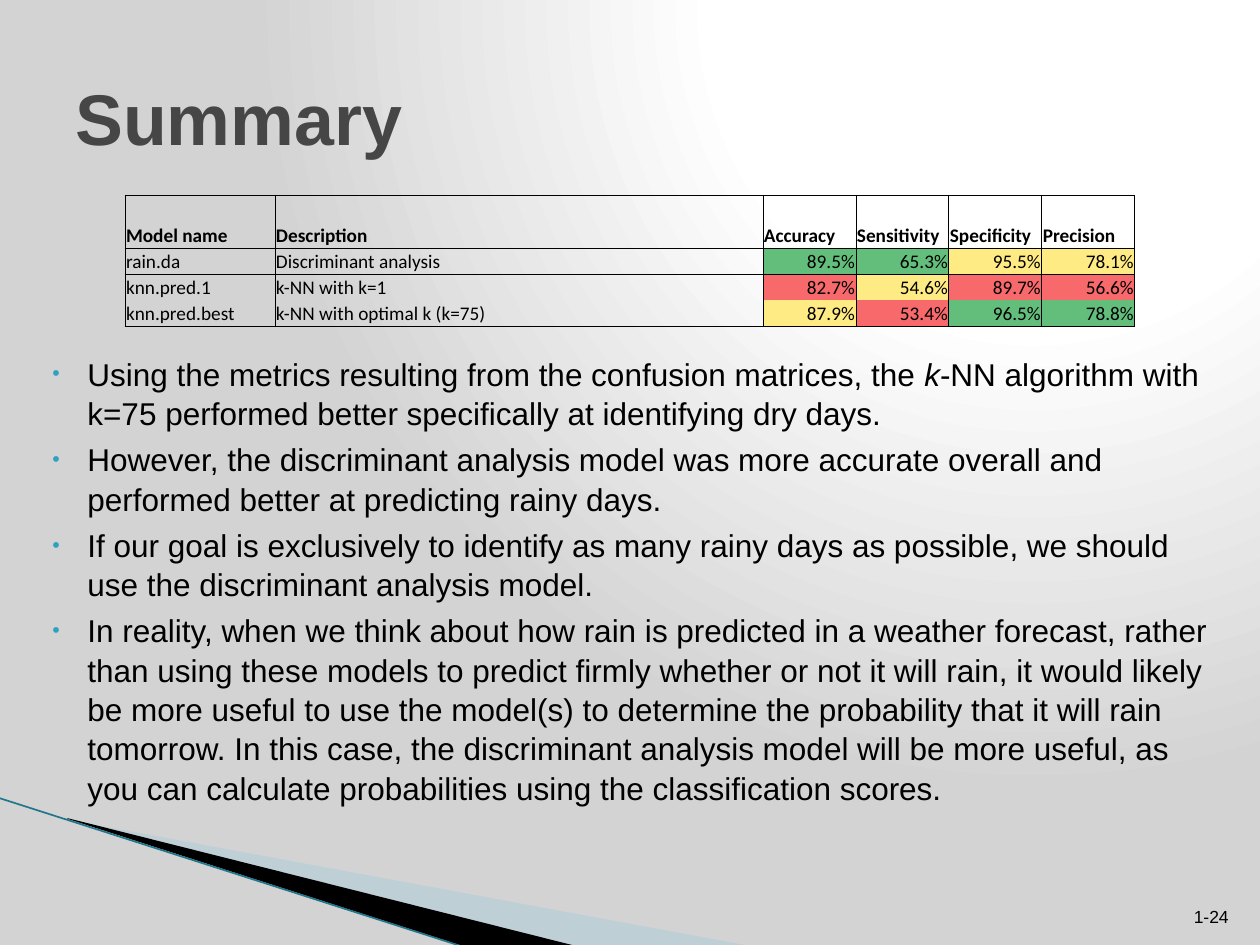
from lxml import etree
from pptx import Presentation
from pptx.dml.color import RGBColor
from pptx.enum.shapes import MSO_CONNECTOR
from pptx.enum.text import MSO_ANCHOR, PP_ALIGN
from pptx.oxml import parse_xml
from pptx.oxml.ns import nsdecls, qn
from pptx.util import Pt

PX = 914400 / 126
LEFT, RIGHT = PP_ALIGN.LEFT, PP_ALIGN.RIGHT
TOP, MIDDLE, BOTTOM = MSO_ANCHOR.TOP, MSO_ANCHOR.MIDDLE, MSO_ANCHOR.BOTTOM
STRAIGHT = MSO_CONNECTOR.STRAIGHT
BLACK, GREEN, YELLOW, RED = "000000", "63BE7B", "FFEB84", "F8696B"


def px(*lengths):
    return [round(length * PX) for length in lengths]


def style(paragraph, size, color=BLACK, font="Arial", bold=False, align=LEFT):
    paragraph.alignment = align
    for span in paragraph.runs:
        span.font.name = font
        span.font.size = Pt(size)
        span.font.bold = bold
        span.font.color.rgb = RGBColor.from_string(color)


deck = Presentation()
deck.slide_width, deck.slide_height = px(1260, 945)
page = deck.slides.add_slide(deck.slide_layouts[6])

# Background: white glow from the upper right, fading to grey
stops = "".join(
    f'<a:gs pos="{position}000"><a:srgbClr val="{color}"/></a:gs>'
    for position, color in [(0, "FFFFFF"), (40, "FFFFFF"), (100, "D3D3D3")])
page.background.fill.solid()
solid = page.background._cSld.find(".//" + qn("a:solidFill"))
solid.getparent().replace(solid, parse_xml(
    f'<a:gradFill {nsdecls("a")} rotWithShape="1"><a:gsLst>{stops}</a:gsLst>'
    '<a:path path="circle"><a:fillToRect l="65000" b="98000"/></a:path></a:gradFill>'))

# Corner wedges
wedges = [
    ("A0CBDC", 40, [(69, 820), (750, 946), (575, 946), (69, 819)]),
    (BLACK, 100, [(67, 818), (576, 946), (469, 948), (68, 819)]),
]
for color, opacity, points in wedges:
    builder = page.shapes.build_freeform(*points[0], scale=PX)
    builder.add_line_segments(points[1:], close=True)
    wedge = builder.convert_to_shape()
    wedge.shadow.inherit = False
    wedge.fill.solid()
    wedge.fill.fore_color.rgb = RGBColor.from_string(color)
    wedge.line.fill.background()
    if opacity < 100:
        tint = wedge._element.spPr.find(".//" + qn("a:srgbClr"))
        etree.SubElement(tint, qn("a:alpha")).set("val", f"{opacity}000")

# Edge line along the wedges
edge = page.shapes.add_connector(STRAIGHT, *px(-1, 798, 467, 948))
edge.line.color.rgb = RGBColor.from_string("21768C")
edge.line.width = Pt(0.95)
etree.SubElement(edge._element.spPr, qn("a:effectLst"))

# Text boxes: title, bullets and page number
bullets = [
    ["Using the metrics resulting from the confusion matrices, the ", "k",
     "-NN algorithm with k=75 performed better specifically at identifying dry days."],
    ["However, the discriminant analysis model was more accurate overall and "
     "performed better at predicting rainy days."],
    ["If our goal is exclusively to identify as many rainy days as possible, "
     "we should use the discriminant analysis model."],
    ["In reality, when we think about how rain is predicted in a weather forecast, "
     "rather than using these models to predict firmly whether or not it will rain, "
     "it would likely be more useful to use the model(s) to determine the probability "
     "that it will rain tomorrow. In this case, the discriminant analysis model will be "
     "more useful, as you can calculate probabilities using the classification scores."],
]
frames = []
for bounds, anchor in [((63, 38, 1134, 157), MIDDLE),
                       ((25, 347, 1206, 372), TOP),
                       ((1144, 883, 97, 50), BOTTOM)]:
    frame = page.shapes.add_textbox(*px(*bounds)).text_frame
    frame.word_wrap = True
    frame.vertical_anchor = anchor
    frames.append(frame)
title, body, number = frames

title.text = "Summary"
style(title.paragraphs[0], 41, "464646", bold=True)
number.text = "1-24"
style(number.paragraphs[0], 10, align=RIGHT)

for index, parts in enumerate(bullets):
    para = body.add_paragraph() if index else body.paragraphs[0]
    for part in parts:
        span = para.add_run()
        span.text = part
        span.font.italic = part == "k"
    style(para, 18)
    para.space_before = Pt(4)
    para.line_spacing = 1.04
    properties = para._p.get_or_add_pPr()
    indent, hanging = px(50, -35)
    properties.set("marL", str(indent))
    properties.set("indent", str(hanging))
    for mark in ('<a:buClr {}><a:srgbClr val="2DA2BF"/></a:buClr>',
                 '<a:buSzPct {} val="68000"/>',
                 '<a:buFont {} typeface="Arial"/>',
                 '<a:buChar {} char="•"/>'):
        properties.append(parse_xml(mark.format(nsdecls("a"))))

# Model comparison table
rows = [
    ["Model name", "Description", "Accuracy", "Sensitivity", "Specificity", "Precision"],
    ["rain.da", "Discriminant analysis", "89.5%", "65.3%", "95.5%", "78.1%"],
    ["knn.pred.1", "k-NN with k=1", "82.7%", "54.6%", "89.7%", "56.6%"],
    ["knn.pred.best", "k-NN with optimal k (k=75)", "87.9%", "53.4%", "96.5%", "78.8%"],
]
cell_fills = [
    [GREEN, GREEN, YELLOW, YELLOW],
    [RED, YELLOW, RED, RED],
    [YELLOW, RED, GREEN, GREEN],
]
table = page.shapes.add_table(4, 6, *px(125, 195, 1010, 131)).table
table.first_row = table.horz_banding = False
table._tbl.tblPr.find(qn("a:tableStyleId")).text = "{2D5ABB26-0587-4C30-8999-92F81FD0307C}"
for column, width in zip(table.columns, px(150, 488, 93, 93, 93, 93)):
    column.width = width
for row, height in zip(table.rows, px(53, 26, 26, 26)):
    row.height = height

borders = ["LRTB", "LRT", "LR", "LRB"]
for r, texts in enumerate(rows):
    for c, text in enumerate(texts):
        cell = table.cell(r, c)
        cell.text = text
        cell.vertical_anchor = BOTTOM
        cell.margin_left, cell.margin_right, cell.margin_top, cell.margin_bottom = px(1, 1, 1, 0)
        is_value = r > 0 and c > 1
        style(cell.text_frame.paragraphs[0], 11, font="Calibri", bold=r == 0,
              align=RIGHT if is_value else LEFT)
        if is_value:
            cell.fill.solid()
            cell.fill.fore_color.rgb = RGBColor.from_string(cell_fills[r - 1][c - 2])
        else:
            cell.fill.background()
        for position, side in enumerate(borders[r]):
            cell._tc.tcPr.insert(position, parse_xml(
                f'<a:ln{side} {nsdecls("a")} w="6350"><a:solidFill>'
                f'<a:srgbClr val="{BLACK}"/></a:solidFill></a:ln{side}>'))

deck.save("out.pptx")
